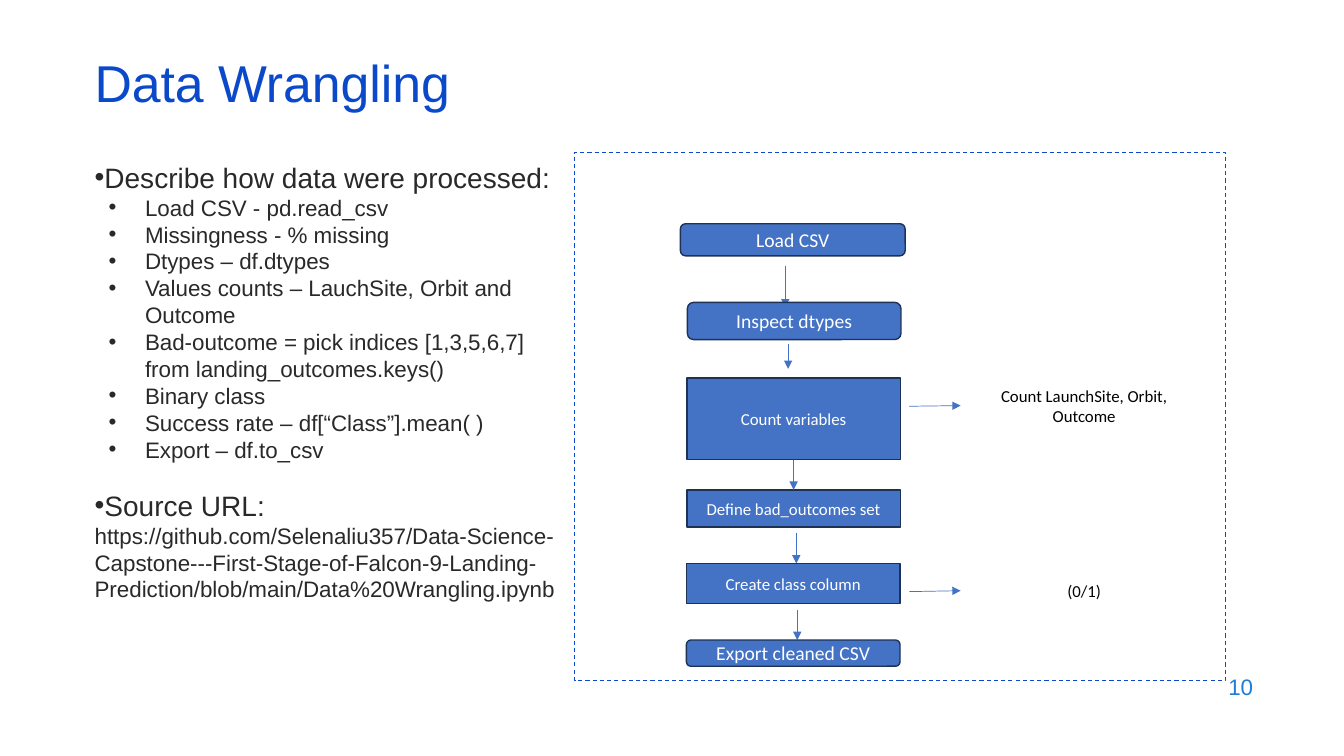
from lxml import etree
from pptx import Presentation
from pptx.dml.color import RGBColor
from pptx.enum.dml import MSO_LINE
from pptx.enum.shapes import MSO_CONNECTOR, MSO_SHAPE
from pptx.enum.text import MSO_ANCHOR, PP_ALIGN
from pptx.oxml.ns import qn
from pptx.util import Pt

RECT, ROUND = MSO_SHAPE.RECTANGLE, MSO_SHAPE.ROUNDED_RECTANGLE
LEFT, CENTER, RIGHT = PP_ALIGN.LEFT, PP_ALIGN.CENTER, PP_ALIGN.RIGHT
TOP, MIDDLE = MSO_ANCHOR.TOP, MSO_ANCHOR.MIDDLE
SIDE_TOP, SIDE_LEFT, SIDE_BOTTOM = 0, 1, 2

# Content
TITLE = "Data Wrangling"
PAGE_NUMBER = "10"
BODY_HEADING = "Describe how data were processed:"
STEPS = [
    "Load CSV - pd.read_csv",
    "Missingness - % missing",
    "Dtypes – df.dtypes",
    "Values counts – LauchSite, Orbit and Outcome",
    "Bad-outcome = pick indices [1,3,5,6,7] from landing_outcomes.keys()",
    "Binary class",
    "Success rate – df[“Class”].mean( )",
    "Export – df.to_csv",
]
URL_HEADING = "Source URL:"
URL = ("https://github.com/Selenaliu357/Data-Science-Capstone---First-Stage-of-"
       "Falcon-9-Landing-Prediction/blob/main/Data%20Wrangling.ipynb")

# Flow boxes: text, preset, left, top, width, height, text size
FLOW = [
    ("Load CSV", ROUND, 486, 159.8, 160.6, 23, 14),
    ("Inspect dtypes", ROUND, 491, 216, 152.6, 26.6, 14),
    ("Count variables", RECT, 490.6, 270, 152.6, 58.3, 12),
    ("Define bad_outcomes set", RECT, 490.6, 349.9, 152.6, 26.6, 12),
    ("Create class column", RECT, 490.3, 402.5, 152.6, 28.8, 12),
    ("Export cleaned CSV", ROUND, 490.3, 457.2, 152.6, 18.7, 14),
]
# Notes: text, top, height, y where the arrow starts
NOTES = [
    ("Count LaunchSite, Orbit, Outcome", 275, 29.5, 290.2),
    ("(0/1)", 412.6, 18.7, 422.6),
]
NOTE_LEFT, NOTE_WIDTH, NOTE_ARROW_LEFT = 686.2, 176.4, 649.4
# Arrows between boxes: x, start y, end y
DOWN_ARROWS = [
    (560.9, 190.1, 219.6),
    (563, 245.5, 263.5),
    (568.8, 380.9, 402.5),
    (569.5, 435.6, 457.2),
]

BLUE, NAVY, TITLE_BLUE, PAGE_BLUE = "4472C4", "1E3256", "0B49CB", "1C7DDB"
INK, WHITE, BLACK = "292929", "FFFFFF", "000000"


def color(hex_string):
    return RGBColor.from_string(hex_string)


def set_font(font, size, hex_string, name="Arial"):
    font.name, font.size = name, Pt(size)
    font.color.rgb = color(hex_string)


def add_text_box(box, anchor):
    shape = slide.shapes.add_textbox(*map(Pt, box))
    shape.text_frame.word_wrap = True
    shape.text_frame.vertical_anchor = anchor
    return shape.text_frame


def add_line_of_text(text, box, size, hex_string, align=LEFT, spacing=1.0):
    paragraph = add_text_box(box, MIDDLE).paragraphs[0]
    paragraph.text, paragraph.alignment = text, align
    paragraph.line_spacing = spacing
    set_font(paragraph.font, size, hex_string)


def set_bullet(paragraph, margin, indent):
    properties = paragraph._p.get_or_add_pPr()
    properties.set("marL", str(Pt(margin)))
    properties.set("indent", str(Pt(indent)))
    etree.SubElement(properties, qn("a:buFont")).set("typeface", "Arial")
    etree.SubElement(properties, qn("a:buChar")).set("char", "•")


def add_bullet_paragraph(frame, text, size, margin=0, indent=0):
    first = not frame.paragraphs[0].runs
    paragraph = frame.paragraphs[0] if first else frame.add_paragraph()
    set_bullet(paragraph, margin, indent)
    paragraph.line_spacing = 1.0
    run = paragraph.add_run()
    run.text = text
    set_font(run.font, size, INK)
    return paragraph


def add_box(text, preset, box, size, fill, line, text_color):
    shape = slide.shapes.add_shape(preset, *map(Pt, box))
    shape.shadow.inherit = False
    shape.fill.solid()
    shape.fill.fore_color.rgb = color(fill)
    shape.line.color.rgb = color(line)
    shape.line.width = Pt(1)
    frame = shape.text_frame
    frame.word_wrap, frame.vertical_anchor = True, MIDDLE
    paragraph = frame.paragraphs[0]
    paragraph.text, paragraph.alignment = text, CENTER
    set_font(paragraph.font, size, text_color, "Calibri")
    return shape


def add_arrow(x1, y1, x2, y2):
    arrow = slide.shapes.add_connector(MSO_CONNECTOR.STRAIGHT, *map(Pt, (x1, y1, x2, y2)))
    arrow.line.color.rgb = color(BLUE)
    arrow.line.width = Pt(0.5)
    etree.SubElement(arrow.line._get_or_add_ln(), qn("a:tailEnd")).set("type", "triangle")
    etree.SubElement(arrow._element.spPr, qn("a:effectLst"))
    return arrow


presentation = Presentation()
presentation.slide_width, presentation.slide_height = Pt(960), Pt(540)
slide = presentation.slides.add_slide(presentation.slide_layouts[6])

# Page number and title
add_line_of_text(PAGE_NUMBER, (686.2, 474.5, 216, 31.7), 16, PAGE_BLUE, RIGHT)
add_line_of_text(TITLE, (60.5, 42.5, 828, 43.2), 37, TITLE_BLUE, spacing=0.7)

# Body text
body = add_text_box((60.5, 110.9, 347, 375), TOP)
add_bullet_paragraph(body, BODY_HEADING, 20)
for step in STEPS:
    add_bullet_paragraph(body, step, 16, 36, -26)
link = add_bullet_paragraph(body, URL_HEADING, 20)
link.space_before = Pt(18.4)
link.add_line_break()
url_run = link.add_run()
url_run.text = URL
set_font(url_run.font, 16, INK)

# Dashed frame
frame_box = slide.shapes.add_shape(RECT, Pt(410.4), Pt(108.7), Pt(465.1), Pt(377.3))
frame_box.shadow.inherit = False
frame_box.fill.background()
frame_box.line.color.rgb = color(TITLE_BLUE)
frame_box.line.width = Pt(0.75)
frame_box.line.dash_style = MSO_LINE.DASH

# Flow chart: loose arrows lie behind the boxes
for x, start, end in DOWN_ARROWS:
    add_arrow(x, start, x, end)
boxes = {}
for text, preset, left, top, width, height, size in FLOW:
    boxes[text] = add_box(text, preset, (left, top, width, height), size, BLUE, NAVY, WHITE)
joined = add_arrow(566.9, 328.3, 566.9, 349.9)
joined.begin_connect(boxes["Count variables"], SIDE_BOTTOM)
joined.end_connect(boxes["Define bad_outcomes set"], SIDE_TOP)

# Side notes
for text, top, height, start in NOTES:
    note = add_box(text, RECT, (NOTE_LEFT, top, NOTE_WIDTH, height), 12, WHITE, WHITE, BLACK)
    arrow = add_arrow(NOTE_ARROW_LEFT, start, NOTE_LEFT, top + height / 2)
    arrow.end_connect(note, SIDE_LEFT)

presentation.save("out.pptx")
